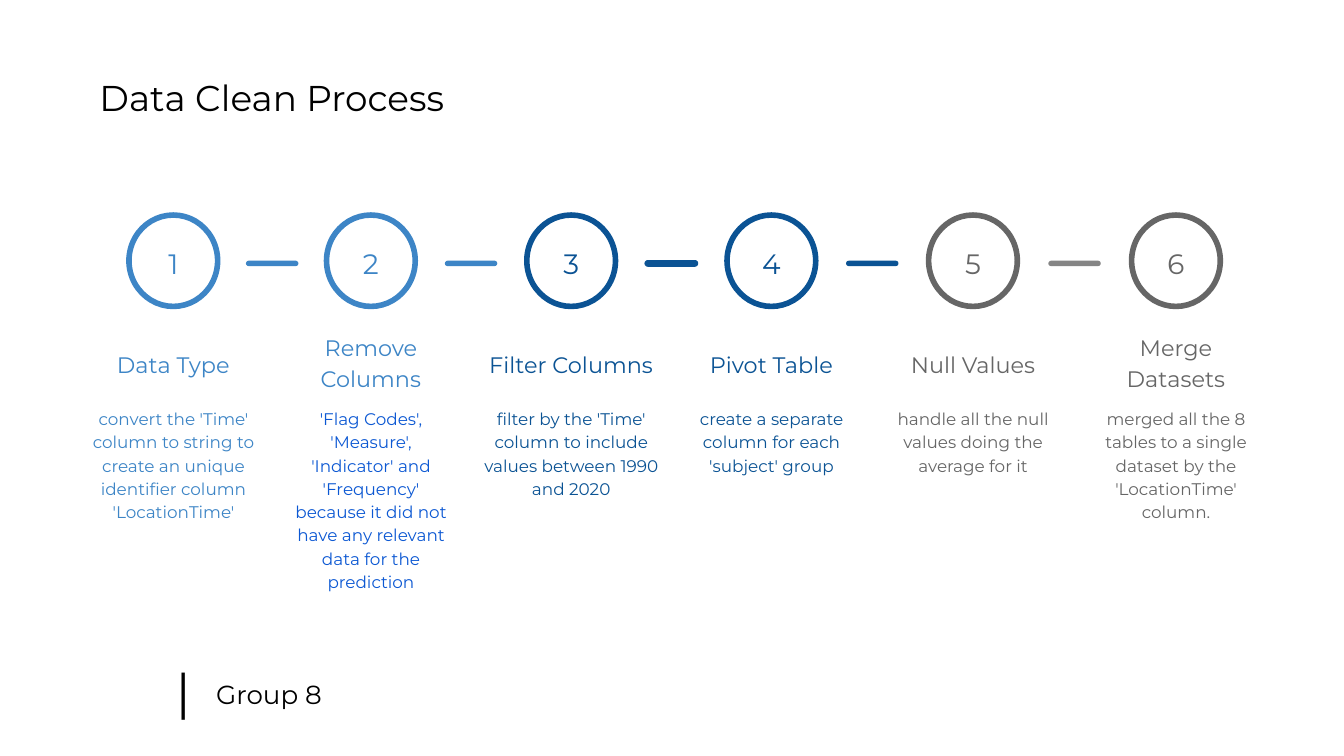
from dataclasses import dataclass
from itertools import pairwise

from pptx import Presentation
from pptx.dml.color import RGBColor
from pptx.enum.shapes import MSO_SHAPE as Preset
from pptx.enum.text import MSO_ANCHOR as Anchor, MSO_AUTO_SIZE as AutoSize, PP_ALIGN as Align
from pptx.util import Inches, Pt

WIDTH = 10
HEIGHT = WIDTH * 9 / 16
FONT = "Montserrat"
BLACK = RGBColor(0x00, 0x00, 0x00)
LIGHT_BLUE = RGBColor(0x3D, 0x85, 0xC6)
BRIGHT_BLUE = RGBColor(0x0C, 0x58, 0xD3)
DARK_BLUE = RGBColor(0x0B, 0x53, 0x94)
GREY = RGBColor(0x66, 0x66, 0x66)
LIGHT_GREY = RGBColor(0x85, 0x85, 0x85)

# Rows of the step grid, in inches
RING_TOP, NUMBER_TOP, DASH_TOP = 1.6, 1.7, 1.94
HEADING_TOP, WRAPPED_HEADING_TOP, BODY_TOP = 2.4, 2.51, 2.92


@dataclass
class Step:
    centre: float  # share of the slide width
    column: float  # share of the slide width
    heading: str
    body: str
    color: RGBColor
    body_color: RGBColor
    heading_top: float = HEADING_TOP


@dataclass
class Style:
    size: float
    color: RGBColor
    align: Align = Align.CENTER
    anchor: Anchor = Anchor.TOP
    line_spacing: float = 1.15
    space_after: float = 0


STEPS = [
    Step(0.129, 0.144, "Data Type",
         "convert the 'Time' column to string to create an unique identifier column 'LocationTime'",
         LIGHT_BLUE, LIGHT_BLUE),
    Step(0.276, 0.144, "Remove Columns",
         "'Flag Codes', 'Measure', 'Indicator' and 'Frequency' because it did not have any "
         "relevant data for the prediction",
         LIGHT_BLUE, BRIGHT_BLUE, WRAPPED_HEADING_TOP),
    Step(0.425, 0.15, "Filter Columns",
         "filter by the 'Time' column to include values between 1990 and 2020",
         DARK_BLUE, DARK_BLUE),
    Step(0.574, 0.144, "Pivot Table",
         "create a separate column for each 'subject' group", DARK_BLUE, DARK_BLUE),
    Step(0.724, 0.15, "Null Values",
         "handle all the null values doing the average for it", GREY, GREY),
    Step(0.875, 0.15, "Merge Datasets",
         "merged all the 8 tables to a single dataset by the 'LocationTime' column.",
         GREY, GREY, WRAPPED_HEADING_TOP),
]
DASH_COLORS = [LIGHT_BLUE, LIGHT_BLUE, DARK_BLUE, DARK_BLUE, LIGHT_GREY]


def set_attributes(target, values: dict) -> None:
    for name, value in values.items():
        setattr(target, name, value)


def write_text(shape, text: str, style: Style) -> None:
    frame = shape.text_frame
    margins = {f"margin_{side}": Inches(0.1) for side in ("left", "top", "right", "bottom")}
    set_attributes(frame, {"text": text, "word_wrap": True, "auto_size": AutoSize.NONE,
                           "vertical_anchor": style.anchor, **margins})
    paragraph = frame.paragraphs[0]
    set_attributes(paragraph, {"alignment": style.align, "line_spacing": style.line_spacing,
                               "space_before": Pt(0), "space_after": Pt(style.space_after)})
    font = paragraph.runs[0].font
    set_attributes(font, {"name": FONT, "size": Pt(style.size)})
    font.color.rgb = style.color


def add_text(shapes, left: float, top: float, width: float, height: float,
             text: str, style: Style) -> None:
    box = shapes.add_textbox(Inches(left), Inches(top), Inches(width), Inches(height))
    write_text(box, text, style)


def add_step(slide, number: int, step: Step) -> None:
    shapes = slide.shapes.add_group_shape().shapes
    centre, column = step.centre * WIDTH, step.column * WIDTH
    left = centre - column / 2
    ring = shapes.add_shape(Preset.OVAL, Inches(centre - 0.33), Inches(RING_TOP),
                            Inches(0.66), Inches(0.68))
    ring.shadow.inherit = False
    ring.fill.background()
    ring.line.color.rgb = step.color
    ring.line.width = Pt(3)
    add_text(shapes, centre - 0.24, NUMBER_TOP, 0.48, 0.37, str(number), Style(15, step.color))
    add_text(shapes, left, step.heading_top, column, 0.51, step.heading,
             Style(12, step.color, anchor=Anchor.BOTTOM))
    add_text(shapes, left, BODY_TOP, column, 0.84, step.body,
             Style(9, step.body_color, space_after=16))


def add_dash(slide, centre: float, color: RGBColor, outlined: bool) -> None:
    dash = slide.shapes.add_shape(Preset.ROUNDED_RECTANGLE, Inches(centre - 0.195),
                                  Inches(DASH_TOP), Inches(0.39), Inches(0.04))
    dash.adjustments[0] = 0.5
    dash.shadow.inherit = False
    dash.fill.solid()
    dash.fill.fore_color.rgb = color
    if outlined:
        dash.line.color.rgb = color
        dash.line.width = Pt(0.75)
    else:
        dash.line.fill.background()


def main() -> None:
    presentation = Presentation()
    set_attributes(presentation, {"slide_width": Inches(WIDTH), "slide_height": Inches(HEIGHT)})
    slide = presentation.slides.add_slide(presentation.slide_layouts[5])

    # Title
    title = slide.shapes.title
    set_attributes(title, {"left": Inches(0.64), "top": Inches(0.46),
                           "width": Inches(3.73), "height": Inches(0.63)})
    write_text(title, "Data Clean Process", Style(19.2, BLACK, Align.LEFT, line_spacing=1.0))

    # Steps, with a dash midway between neighbours
    for number, step in enumerate(STEPS, start=1):
        add_step(slide, number, step)
    for index, (before, after) in enumerate(pairwise(STEPS)):
        centre = (before.centre + after.centre) / 2 * WIDTH
        add_dash(slide, centre, DASH_COLORS[index], outlined=index == 2)

    # Footer
    add_text(slide.shapes, 1.21, 4.81, 0.38, 0.66, "|",
             Style(27, BLACK, Align.LEFT, line_spacing=1.0))
    add_text(slide.shapes, 1.51, 4.95, 1.6, 0.44, "Group 8",
             Style(14, BLACK, Align.LEFT, line_spacing=1.0))

    presentation.save("out.pptx")


if __name__ == "__main__":
    main()
